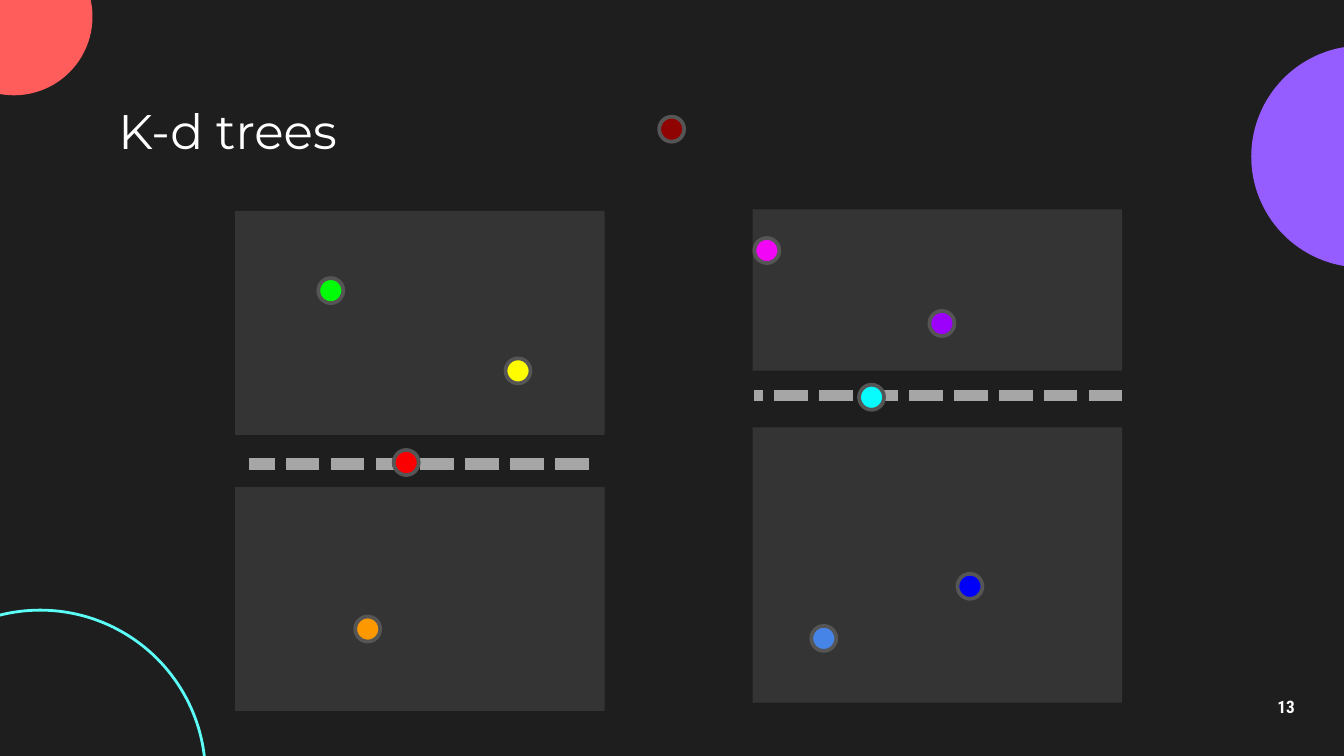
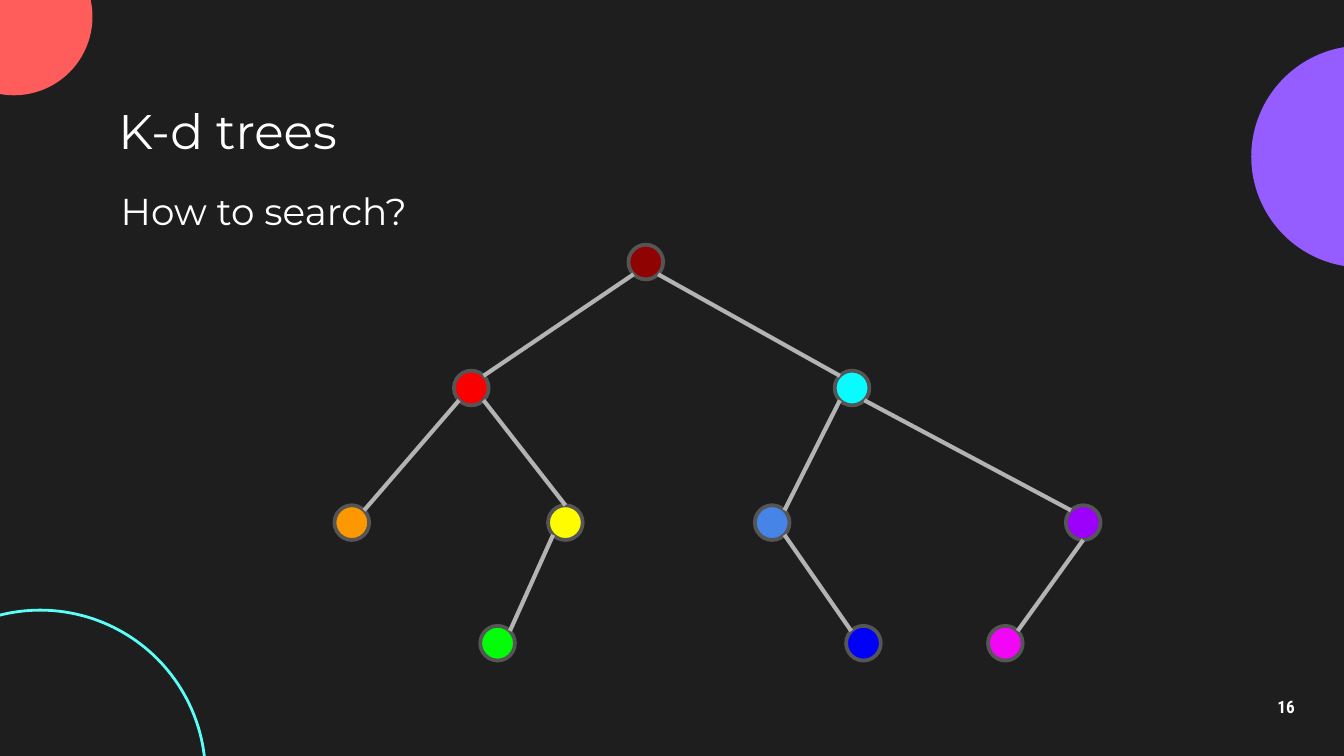
from dataclasses import dataclass
from enum import Enum
from typing import NamedTuple, Optional

from lxml.etree import SubElement
from pptx import Presentation
from pptx.dml.color import RGBColor as Rgb
from pptx.enum.dml import MSO_LINE as Dash
from pptx.enum.shapes import MSO_CONNECTOR as Link, MSO_SHAPE as Form
from pptx.enum.text import MSO_ANCHOR as Anchor, MSO_AUTO_SIZE as Fit, PP_ALIGN as Align
from pptx.oxml.ns import qn
from pptx.shapes.autoshape import Shape
from pptx.slide import Slide, SlideLayout
from pptx.text.text import TextFrame
from pptx.util import Pt


@dataclass(frozen=True)
class Theme:
    back: str = "1E1E1E"
    panel: str = "343434"
    text: str = "FFFFFF"
    ring: str = "555555"
    split: str = "A6A6A6"
    edge: str = "B3B3B3"
    sans: str = "Montserrat"
    narrow: str = "Roboto Condensed"
    title: float = 26
    lead: float = 20
    number: float = 9.2
    pad: float = 7.2


THEME = Theme()


class Tint(Enum):
    """Each point of the k-d tree keeps its colour on both slides."""
    ROOT = "8F0302"
    RED = "FA0000"
    CYAN = "08FBFD"
    ORANGE = "FE9801"
    YELLOW = "FFFC00"
    SKY = "4784E8"
    PURPLE = "9B01FB"
    GREEN = "02FD09"
    BLUE = "0000FA"
    PINK = "F106F6"


class Box(NamedTuple):
    left: float
    top: float
    width: float
    height: float


class Spot(NamedTuple):
    x: float
    y: float


class Disc(NamedTuple):
    box: Box
    fill: Optional[str] = None
    line: Optional[str] = None


class Stroke(NamedTuple):
    color: str
    width: float
    dash: Optional[Dash] = None


class Edge(NamedTuple):
    """A branch; its ends sit on the facing diagonals unless centred."""
    parent: Tint
    child: Tint
    low: bool = False
    high: bool = False


DISCS = [
    Disc(Box(670.3, 24.5, 118.8, 118.8), fill="955CFF"),
    Disc(Box(-34.6, -33.1, 84.2, 84.2), fill="FF5C5C"),
    Disc(Box(-67, 326.9, 177.1, 177.1), line="5CFFF8"),
]
TITLE = Box(56.2, 51.1, 607.7, 36.7)
LEAD = Box(57.6, 93.6, 325.4, 36.7)
NUMBER = Box(667.4, 367.2, 43.2, 24.5)

PANELS = [
    Box(126, 113, 198, 120),
    Box(126, 260.9, 198, 120),
    Box(403.2, 112.2, 198, 86.4),
    Box(403.2, 229, 198, 147.4),
]
SPLITS = [
    (Spot(601.2, 211.9), Spot(403.9, 211.9)),
    (Spot(315.4, 248.6), Spot(133.2, 248.6)),
]
DOT = 13.4
PLANE = {
    Tint.CYAN: Spot(466.9, 212.8),
    Tint.PURPLE: Spot(504.6, 173.3),
    Tint.PINK: Spot(410.8, 134.2),
    Tint.ROOT: Spot(359.8, 69.2),
    Tint.BLUE: Spot(519.6, 314.1),
    Tint.ORANGE: Spot(197, 337),
    Tint.GREEN: Spot(177.2, 155.7),
    Tint.YELLOW: Spot(277.5, 198.7),
    Tint.RED: Spot(217.6, 247.8),
    Tint.SKY: Spot(441.3, 342),
}

NODE = 18.6
LEVELS = [
    (140.4, {Tint.ROOT: 346}),
    (207.9, {Tint.RED: 252.5, Tint.CYAN: 456.5}),
    (280, {Tint.ORANGE: 188.5, Tint.YELLOW: 302.9,
           Tint.SKY: 413.7, Tint.PURPLE: 580.3}),
    (344.6, {Tint.GREEN: 266.6, Tint.BLUE: 462.6, Tint.PINK: 538.6}),
]
TREE = {tint: Spot(x, y) for y, row in LEVELS for tint, x in row.items()}
EDGES = [
    Edge(Tint.ROOT, Tint.RED),
    Edge(Tint.ROOT, Tint.CYAN),
    Edge(Tint.RED, Tint.ORANGE),
    Edge(Tint.RED, Tint.YELLOW, high=True),
    Edge(Tint.CYAN, Tint.SKY),
    Edge(Tint.CYAN, Tint.PURPLE),
    Edge(Tint.YELLOW, Tint.GREEN),
    Edge(Tint.SKY, Tint.BLUE),
    Edge(Tint.PURPLE, Tint.PINK, low=True),
]


def points(*values: float) -> list[Pt]:
    return [Pt(value) for value in values]


def draw(slide: Slide, form: Form, box: Box, fill: Optional[str] = None,
         line: Optional[str] = None, width: float = 1.5) -> Shape:
    shape = slide.shapes.add_shape(form, *points(*box))
    shape.shadow.inherit = False
    for part, color in ((shape.fill, fill), (shape.line.fill, line)):
        if color:
            part.solid()
            part.fore_color.rgb = Rgb.from_string(color)
        else:
            part.background()
    if line:
        shape.line.width = Pt(width)
    return shape


def join(slide: Slide, start: Spot, end: Spot, stroke: Stroke) -> None:
    link = slide.shapes.add_connector(Link.STRAIGHT, *points(*start, *end))
    link.line.color.rgb = Rgb.from_string(stroke.color)
    link.line.width = Pt(stroke.width)
    if stroke.dash:
        link.line.dash_style = stroke.dash
    SubElement(link.element.spPr, qn("a:effectLst"))


def dots(slide: Slide, spots: dict[Tint, Spot], size: float) -> None:
    for tint, spot in spots.items():
        box = Box(spot.x - size / 2, spot.y - size / 2, size, size)
        draw(slide, Form.OVAL, box, tint.value, THEME.ring, 2)


def rim(spot: Spot, side: int, down: int) -> Spot:
    """Point on a node's rim; side 0 is its middle, -1 and 1 the diagonals."""
    reach = NODE / 2 * (0.5 ** 0.5 if side else 1)
    return Spot(spot.x + side * reach, spot.y + down * reach)


def branch(slide: Slide, edge: Edge) -> None:
    start, end = TREE[edge.parent], TREE[edge.child]
    side = 1 if end.x > start.x else -1
    join(slide, rim(start, 0 if edge.low else side, 1),
         rim(end, 0 if edge.high else -side, -1), Stroke(THEME.edge, 2.25))


def write(frame: TextFrame, text: str, size: float, font: str = THEME.sans,
          align: Align = Align.LEFT, anchor: Anchor = Anchor.MIDDLE,
          bold: bool = False) -> None:
    frame.text = text
    frame.word_wrap = True
    frame.auto_size = Fit.NONE
    frame.vertical_anchor = anchor
    frame.margin_left = frame.margin_right = Pt(THEME.pad)
    frame.margin_top = frame.margin_bottom = Pt(THEME.pad)
    para = frame.paragraphs[0]
    para.alignment = align
    para.font.size, para.font.name, para.font.bold = Pt(size), font, bold
    para.font.color.rgb = Rgb.from_string(THEME.text)


def label(slide: Slide, box: Box) -> TextFrame:
    return slide.shapes.add_textbox(*points(*box)).text_frame


def dress(layout: SlideLayout, slide: Slide) -> None:
    """Give the layout its backdrop, drawing the discs by way of a slide."""
    fill = layout.background.fill
    fill.solid()
    fill.fore_color.rgb = Rgb.from_string(THEME.back)
    for spot, disc in enumerate(DISCS, start=2):
        shape = draw(slide, Form.OVAL, disc.box, disc.fill, disc.line)
        layout.shapes.element.insert(spot, shape.element)


def head(slide: Slide, number: int) -> None:
    title = slide.shapes.title
    title.left, title.top, title.width, title.height = points(*TITLE)
    write(title.text_frame, "K-d trees", THEME.title)
    frame = label(slide, NUMBER)
    write(frame, str(number), THEME.number, THEME.narrow, Align.CENTER, bold=True)
    frame.paragraphs[0].line_spacing = 0.9


def plane(slide: Slide) -> None:
    head(slide, 13)
    for start, end in SPLITS:
        join(slide, start, end, Stroke(THEME.split, 6, Dash.SQUARE_DOT))
    for box in PANELS:
        draw(slide, Form.RECTANGLE, box, THEME.panel)
    dots(slide, PLANE, DOT)


def tree(slide: Slide) -> None:
    head(slide, 16)
    dots(slide, TREE, NODE)
    for edge in EDGES:
        branch(slide, edge)
    write(label(slide, LEAD), "How to search?", THEME.lead, anchor=Anchor.TOP)


def main() -> None:
    deck = Presentation()
    deck.slide_width, deck.slide_height = points(720, 405)
    layout = deck.slide_layouts.get_by_name("Title Only")
    first, second = (deck.slides.add_slide(layout) for _ in range(2))
    dress(layout, first)
    plane(first)
    tree(second)
    deck.save("out.pptx")


if __name__ == "__main__":
    main()
